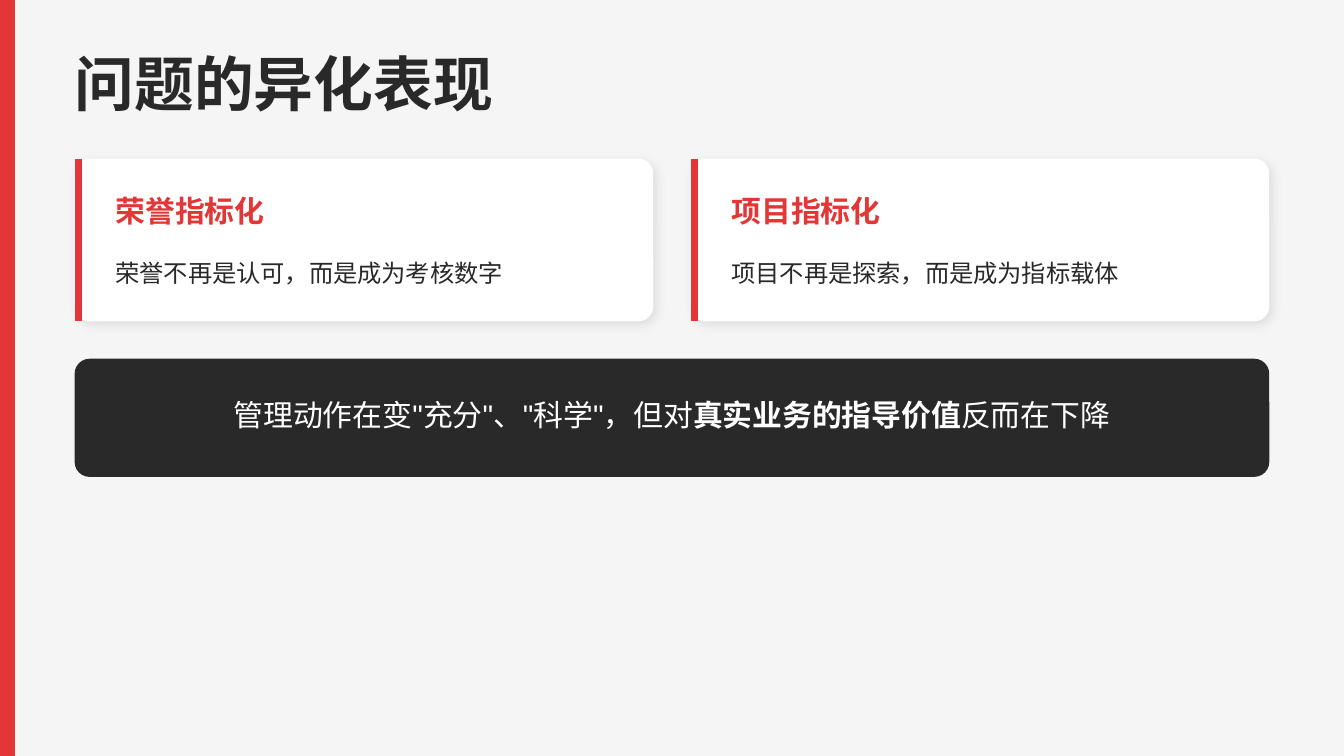
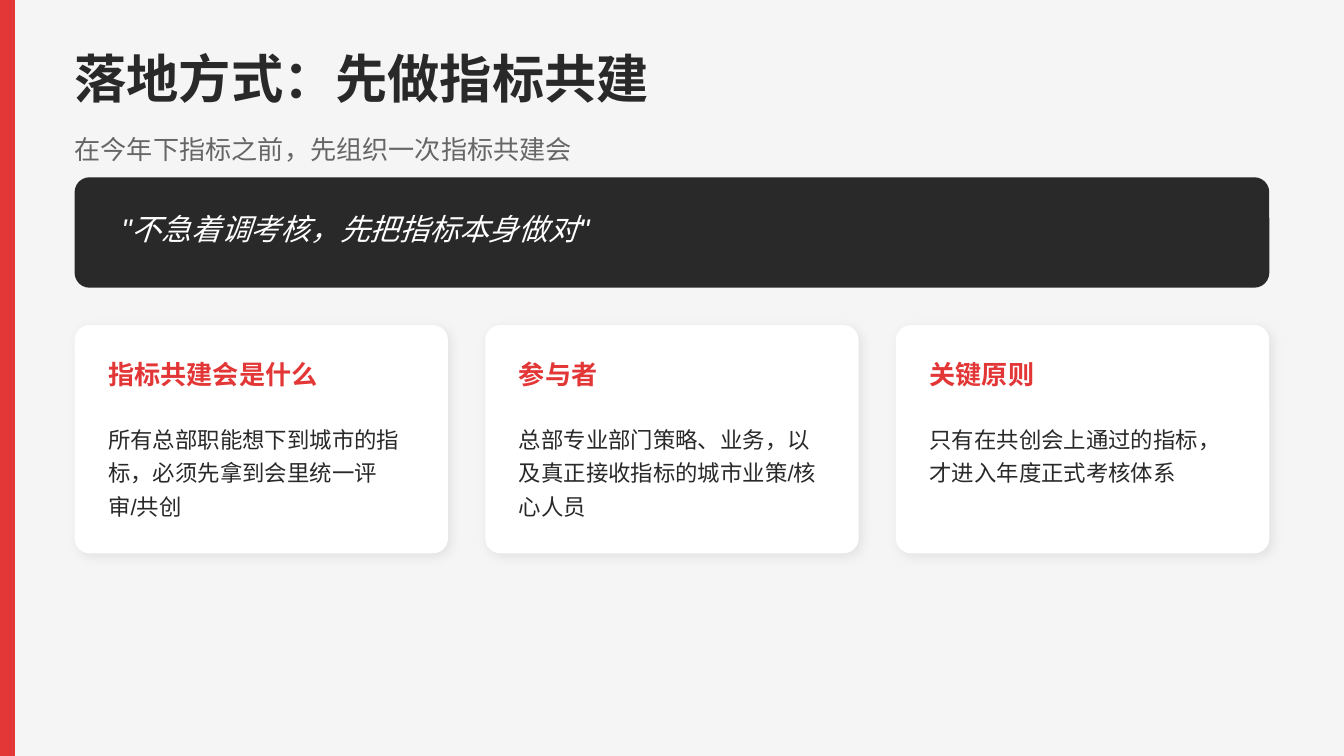
from dataclasses import dataclass

from lxml.etree import SubElement
from pptx import Presentation
from pptx.dml.color import RGBColor
from pptx.enum.shapes import MSO_CONNECTOR, MSO_SHAPE
from pptx.enum.text import PP_ALIGN
from pptx.oxml.ns import qn
from pptx.util import Pt


@dataclass(frozen=True)
class Theme:
    """Colours, type sizes and shared measures, in points."""
    paper: str = "F5F5F5"
    accent: str = "E33737"
    ink: str = "292929"
    muted: str = "666666"
    white: str = "FFFFFF"
    font: str = "Arial"
    title: int = 32
    long_title: int = 28
    heading: int = 16
    small_heading: int = 14
    body: int = 13
    small_body: int = 12
    left: int = 40
    content: int = 640
    gap: int = 20
    radius: int = 8
    edge: float = 3.75


THEME = Theme()


def add_text(page, frame, spans, size, colour, paragraph_format=None, **font_format):
    """Add a text box from (text, font overrides) spans."""
    box = page.shapes.add_textbox(*map(Pt, frame))
    text_frame = box.text_frame
    text_frame.word_wrap = True
    for side in ("left", "top", "right", "bottom"):
        setattr(text_frame, f"margin_{side}", 0)
    para = text_frame.paragraphs[0]
    for name, value in (paragraph_format or {}).items():
        setattr(para, name, value)
    for text, overrides in spans:
        span = para.add_run()
        span.text = text
        font_values = {"name": THEME.font, "size": Pt(size), **font_format, **overrides}
        for name, value in font_values.items():
            setattr(span.font, name, value)
        span.font.color.rgb = RGBColor.from_string(colour)


def add_block(page, kind, frame, colour):
    """Add a filled shape without outline or shadow."""
    block = page.shapes.add_shape(kind, *map(Pt, frame))
    block.shadow.inherit = False
    block.fill.solid()
    block.fill.fore_color.rgb = RGBColor.from_string(colour)
    block.line.fill.background()
    return block


def add_panel(page, frame, colour):
    """Add a rounded panel with the shared corner radius."""
    panel = add_block(page, MSO_SHAPE.ROUNDED_RECTANGLE, frame, colour)
    panel.adjustments[0] = THEME.radius / min(frame[2:])
    return panel


def add_shadow(shape, opacity):
    """Give a shape a soft shadow towards the lower right."""
    effects = shape._element.spPr.find(qn("a:effectLst"))
    shadow = SubElement(effects, qn("a:outerShdw"), blurRad=str(Pt(6)),
                        dist=str(Pt(2.1)), dir=str(45 * 60000),
                        algn="bl", rotWithShape="0")
    colour = SubElement(shadow, qn("a:srgbClr"), val="000000")
    SubElement(colour, qn("a:alpha"), val=str(opacity * 1000))


def add_edge(page, left, top, height):
    """Add the accent line inside the left side of a card."""
    middle = left + THEME.edge / 2
    edge = page.shapes.add_connector(
        MSO_CONNECTOR.STRAIGHT, *map(Pt, (middle, top, middle, top + height)))
    edge.line.color.rgb = RGBColor.from_string(THEME.accent)
    edge.line.width = Pt(THEME.edge)
    SubElement(edge._element.spPr, qn("a:effectLst"))


def add_cards(page, cards, top, height, inset, text_width, heading_size, body_size,
              body_offset, leading, space_after, opacity, edged=False):
    """Add a row of equal cards, each with a heading and a body."""
    width = (THEME.content - THEME.gap * (len(cards) - 1)) / len(cards)
    for index, (heading, body) in enumerate(cards):
        left = THEME.left + index * (width + THEME.gap)
        add_shadow(add_panel(page, (left, top, width, height), THEME.white), opacity)
        if edged:
            add_edge(page, left, top, height)
        text_left, text_top = left + inset, top + 18
        body_top = text_top + body_offset
        add_text(page, (text_left, text_top, text_width, heading_size * 1.44),
                 [(heading, {})], heading_size, THEME.accent,
                 {"space_after": Pt(space_after)}, bold=True)
        add_text(page, (text_left, body_top, text_width, top + height - 18 - body_top),
                 [(body, {})], body_size, THEME.ink, {"line_spacing": Pt(leading)})


def add_page(deck, title, size):
    """Add a page with the shared background, side bar and title."""
    page = deck.slides.add_slide(deck.slide_layouts[6])
    page.background.fill.solid()
    page.background.fill.fore_color.rgb = RGBColor.from_string(THEME.paper)
    add_block(page, MSO_SHAPE.RECTANGLE, (0, 0, 8, 405), THEME.accent)
    add_text(page, (THEME.left, 25, 653, size * 1.44), [(title, {})], size,
             THEME.ink, bold=True)
    return page


def build_problem_page(deck):
    """Build the page on how indicators go wrong."""
    page = add_page(deck, "问题的异化表现", THEME.title)
    cards = [("荣誉指标化", "荣誉不再是认可，而是成为考核数字"),
             ("项目指标化", "项目不再是探索，而是成为指标载体")]
    add_cards(page, cards, top=85, height=87.2, inset=21.9, text_width=276,
              heading_size=THEME.heading, body_size=THEME.body, body_offset=33,
              leading=18.2, space_after=10, opacity=10, edged=True)
    add_panel(page, (THEME.left, 192.2, THEME.content, 63.3), THEME.ink)
    add_text(page, (54, 212.4, 612, 23),
             [("管理动作在变\"充分\"、\"科学\"，但对", {}),
              ("真实业务的指导价值", {"bold": True}),
              ("反而在下降", {})],
             THEME.heading, THEME.white, {"alignment": PP_ALIGN.CENTER}, bold=False)


def build_method_page(deck):
    """Build the page on building indicators together."""
    page = add_page(deck, "落地方式：先做指标共建", THEME.long_title)
    add_text(page, (THEME.left, 71.3, 653, 20),
             [("在今年下指标之前，先组织一次指标共建会", {})],
             THEME.small_heading, THEME.muted, {"space_before": Pt(6)})
    add_panel(page, (THEME.left, 95, THEME.content, 59.2), THEME.ink)
    add_text(page, (65, 113, 602, 23), [("\"不急着调考核，先把指标本身做对\"", {})],
             THEME.heading, THEME.white, italic=True)
    cards = [("指标共建会是什么", "所有总部职能想下到城市的指标，必须先拿到会里统一评审/共创"),
             ("参与者", "总部专业部门策略、业务，以及真正接收指标的城市业策/核心人员"),
             ("关键原则", "只有在共创会上通过的指标，才进入年度正式考核体系")]
    add_cards(page, cards, top=174.2, height=122.3, inset=18, text_width=167,
              heading_size=THEME.small_heading, body_size=THEME.small_body,
              body_offset=32.3, leading=18, space_after=12, opacity=8)


def main():
    """Build and save the deck."""
    deck = Presentation()
    deck.slide_width, deck.slide_height = Pt(720), Pt(405)
    build_problem_page(deck)
    build_method_page(deck)
    deck.save("out.pptx")


if __name__ == "__main__":
    main()
